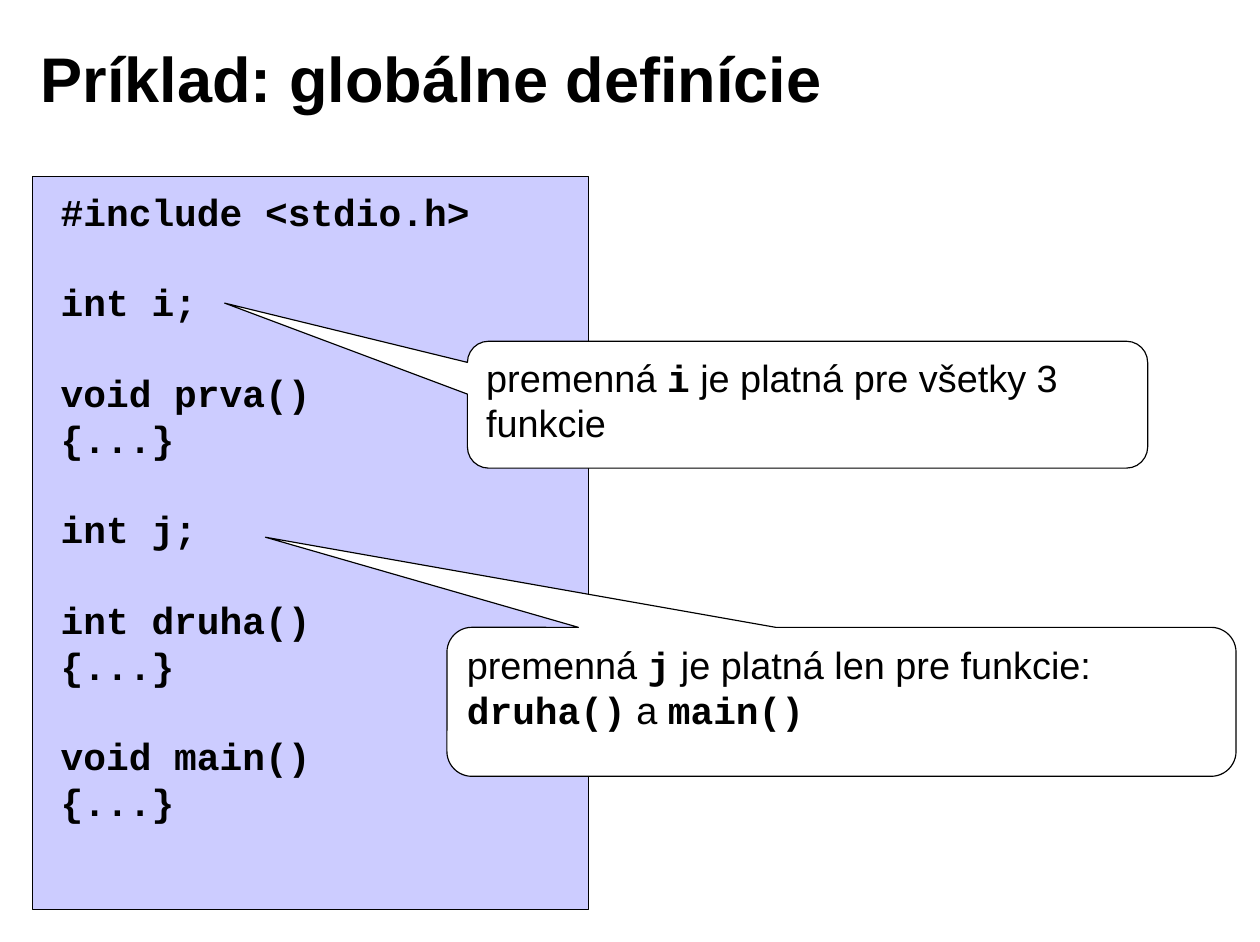
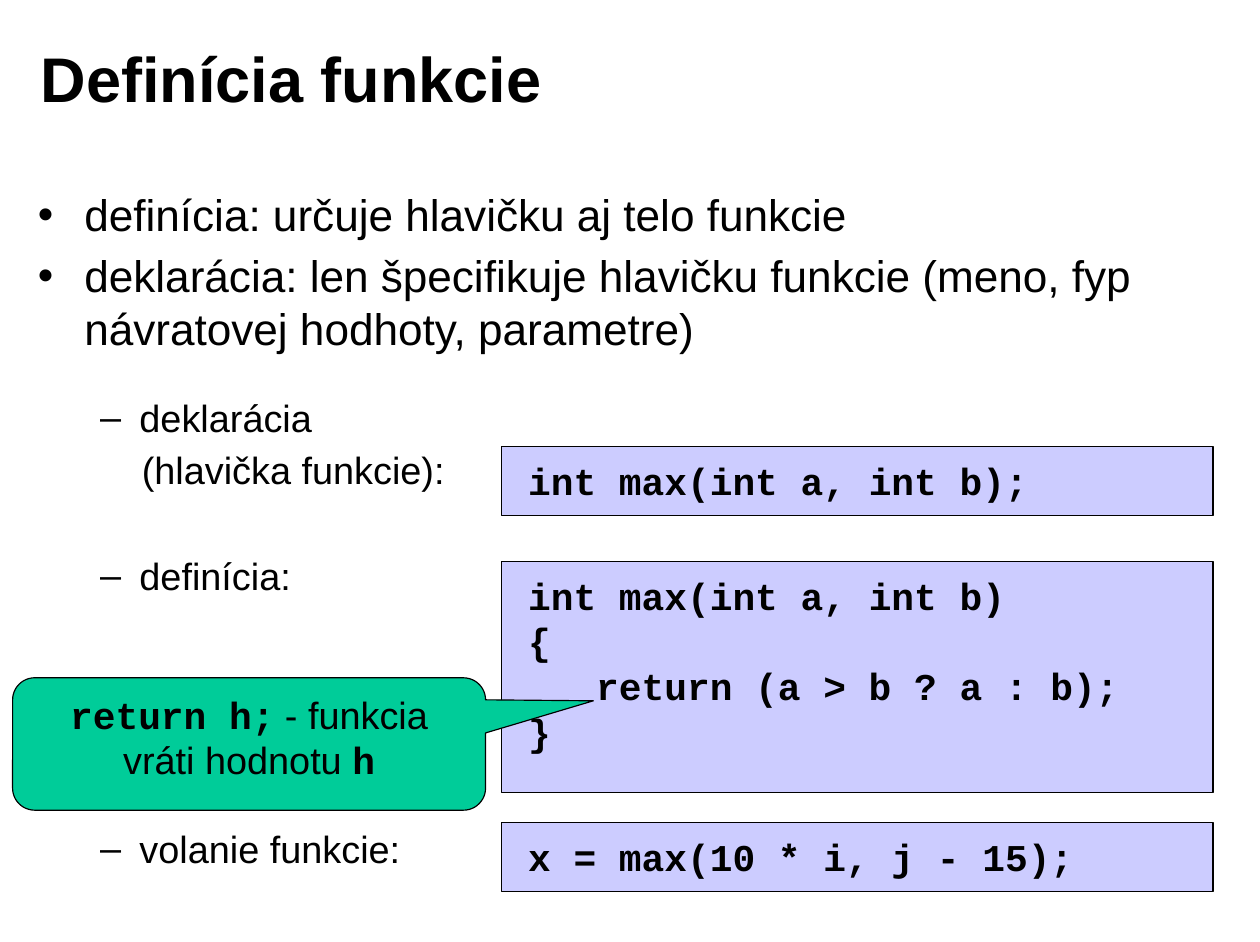
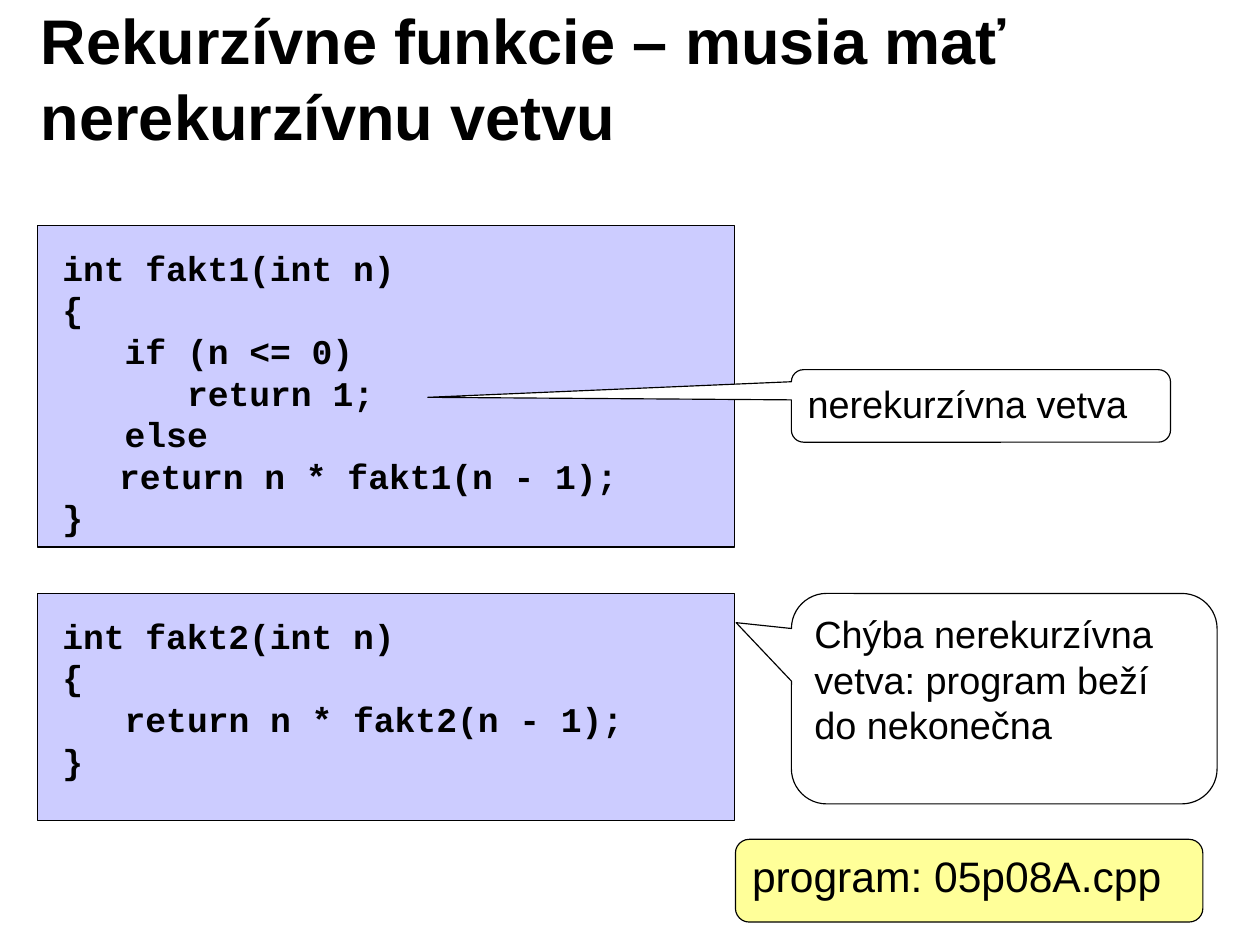
from dataclasses import dataclass

from pptx import Presentation
from pptx.dml.color import RGBColor
from pptx.enum.shapes import MSO_SHAPE
from pptx.enum.text import MSO_ANCHOR, MSO_AUTO_SIZE, PP_ALIGN
from pptx.oxml import parse_xml
from pptx.oxml.ns import nsdecls
from pptx.util import Pt


@dataclass(frozen=True)
class Theme:
    ink: RGBColor = RGBColor(0x00, 0x00, 0x00)
    paper: RGBColor = RGBColor(0xFF, 0xFF, 0xFF)
    code_fill: RGBColor = RGBColor(0xCC, 0xCC, 0xFF)
    accent: RGBColor = RGBColor(0x00, 0xCC, 0x99)
    file_fill: RGBColor = RGBColor(0xFF, 0xFF, 0x99)
    sans: str = "Arial"
    mono: str = "Courier New"
    title: float = 40
    body: float = 28
    file: float = 27
    text: float = 24
    small_code: float = 22
    leading: float = 1.2
    mono_advance: float = 0.6
    tab: float = 72
    corner: float = 0.167
    line: float = 0.75
    inset: tuple = (8, 4.5, 8, 4.5)


T = Theme()
LAYOUT_BODY, LAYOUT_TITLE = 1, 5


def setup_frame(sp, inset=T.inset, anchor=MSO_ANCHOR.TOP, wrap=True):
    tf = sp.text_frame
    tf.word_wrap = wrap
    tf.auto_size = MSO_AUTO_SIZE.NONE
    tf.vertical_anchor = anchor
    tf.margin_left, tf.margin_top, tf.margin_right, tf.margin_bottom = map(Pt, inset)
    return tf


def next_paragraph(tf, index):
    return tf.paragraphs[0] if index == 0 else tf.add_paragraph()


def format_paragraph(p, size, before=0, align=PP_ALIGN.LEFT):
    p.alignment = align
    p.line_spacing = Pt(size * T.leading)
    p.space_before = Pt(before)
    p.space_after = Pt(0)


def format_run(r, size, mono=False, bold=False):
    r.font.name = T.mono if mono else T.sans
    r.font.size = Pt(size)
    r.font.bold = bold
    r.font.color.rgb = T.ink


def set_indent(p, left, first=0):
    pPr = p._p.get_or_add_pPr()
    pPr.set("marL", str(Pt(left)))
    pPr.set("indent", str(Pt(first)))
    return pPr


def place(sp, box):
    sp.left, sp.top, sp.width, sp.height = map(Pt, box)


def add_slide(prs, layout, title):
    s = prs.slides.add_slide(prs.slide_layouts[layout])
    sp = s.shapes.title
    place(sp, (18, 12, 642, 74))
    tf = setup_frame(sp, anchor=MSO_ANCHOR.MIDDLE)
    tf.text = title
    p = tf.paragraphs[0]
    format_paragraph(p, T.title)
    format_run(p.runs[0], T.title, bold=True)
    return s


def add_box(s, kind, box, fill, adjustments=()):
    sp = s.shapes.add_shape(kind, *map(Pt, box))
    for i, value in enumerate(adjustments):
        sp.adjustments[i] = value
    sp.shadow.inherit = False
    sp.fill.solid()
    sp.fill.fore_color.rgb = fill
    sp.line.color.rgb = T.ink
    sp.line.width = Pt(T.line)
    return sp


def add_code(s, box, source, size=T.text, inset=(17, 7)):
    sp = add_box(s, MSO_SHAPE.RECTANGLE, box, T.code_fill)
    tf = setup_frame(sp, (*inset, 0, 0), wrap=False)
    pitch = size * T.leading
    index = gap = 0
    for line in source:
        if not line:
            gap += pitch
            continue
        p = next_paragraph(tf, index)
        code = line.lstrip(" ")
        p.text = code
        format_paragraph(p, size, gap)
        pPr = set_indent(p, (len(line) - len(code)) * T.mono_advance * size)
        if code.startswith("\t"):
            pPr.append(parse_xml(
                f'<a:tabLst {nsdecls("a")}><a:tab pos="{Pt(T.tab)}" algn="l"/></a:tabLst>'))
        format_run(p.runs[0], size, mono=True, bold=True)
        index, gap = index + 1, 0


def write_note(sp, lines, size=T.text, align=PP_ALIGN.LEFT):
    tf = setup_frame(sp)
    for i, line in enumerate(lines):
        p = next_paragraph(tf, i)
        format_paragraph(p, size, align=align)
        for j, part in enumerate(line.split("`")):
            if part:
                r = p.add_run()
                r.text = part
                mono = j % 2 == 1
                format_run(r, size, mono, bold=mono)


def add_callout(s, box, tip, lines, fill=T.paper, align=PP_ALIGN.LEFT):
    kind = MSO_SHAPE.ROUNDED_RECTANGULAR_CALLOUT
    sp = add_box(s, kind, box, fill, (*tip, T.corner))
    write_note(sp, lines, align=align)


def fill_body(s, box, items):
    sp = s.placeholders[1]
    place(sp, box)
    tf = setup_frame(sp)
    for i, (text, level, before, bullet) in enumerate(items):
        p = next_paragraph(tf, i)
        p.text = text
        p.level = level
        size = T.text if level else T.body
        format_paragraph(p, size, before)
        format_run(p.runs[0], size)
        if bullet:
            set_indent(p, *((64.5, -25) if level else (29.5, -29.5)))
        else:
            set_indent(p, 66).append(parse_xml(f"<a:buNone {nsdecls('a')}/>"))


def global_definitions(prs):
    s = add_slide(prs, LAYOUT_TITLE, "Príklad: globálne definície")
    add_code(s, (20.5, 112, 353, 465), [
        "#include <stdio.h>", "",
        "int i;", "",
        "void prva()", "{...}", "",
        "int j;", "",
        "int druha()", "{...}", "",
        "void main()", "{...}",
    ], inset=(18, 7.5))
    add_callout(s, (296.5, 216.5, 431.5, 80.5), (-0.857, -0.801),
                ["premenná `i` je platná pre všetky 3 funkcie"])
    add_callout(s, (283.5, 398, 500.5, 94.5), (-0.73, -1.105),
                ["premenná `j` je platná len pre funkcie:", "`druha()` a `main()`"])


def function_definition(prs):
    s = add_slide(prs, LAYOUT_BODY, "Definícia funkcie")
    fill_body(s, (16, 114.5, 767.5, 439), [
        ("definícia: určuje hlavičku aj telo funkcie", 0, 0, True),
        ("deklarácia: len špecifikuje hlavičku funkcie (meno, fyp návratovej hodhoty, parametre)",
         0, 5, True),
        ("deklarácia", 1, 25.5, True),
        ("(hlavička funkcie):", 1, 4.5, False),
        ("definícia:", 1, 38, True),
        ("volanie funkcie:", 1, 144.5, True),
    ])
    examples = [
        (283.5, 43.5, ["int max(int a, int b);"]),
        (356, 147, ["int max(int a, int b)", "{", "   return (a > b ? a : b);", "}"]),
        (522, 43.5, ["x = max(10 * i, j - 15);"]),
    ]
    for top, height, source in examples:
        add_code(s, (318, top, 451.5, height), source)
    add_callout(s, (8, 430, 300, 84), (0.728, -0.326),
                ["`return h;` - funkcia vráti hodnotu `h`"], T.accent, PP_ALIGN.CENTER)


def recursive_functions(prs):
    s = add_slide(prs, LAYOUT_TITLE, "Rekurzívne funkcie – musia mať nerekurzívnu vetvu")
    examples = [
        (143, 204, ["int fakt1(int n)", "{", "   if (n <= 0)", "      return 1;",
                    "   else", "\treturn n * fakt1(n - 1);", "}"]),
        (376.5, 144, ["int fakt2(int n)", "{", "   return n * fakt2(n - 1);", "}"]),
    ]
    for top, height, source in examples:
        add_code(s, (24, top, 442, height), source, T.small_code, (15.5, 13.5))
    add_callout(s, (502, 376.5, 270, 133.5), (-0.63, -0.361),
                ["Chýba nerekurzívna vetva: program beží do nekonečna"])
    add_callout(s, (502, 234.5, 240.5, 46), (-1.459, -0.118), ["nerekurzívna vetva"])
    sp = add_box(s, MSO_SHAPE.ROUNDED_RECTANGLE, (466.5, 532.5, 296.5, 52.5),
                 T.file_fill, (T.corner,))
    write_note(sp, ["program: 05p08A.cpp"], T.file)


def main():
    prs = Presentation()
    prs.slide_width, prs.slide_height = Pt(799.2), Pt(597.6)
    global_definitions(prs)
    function_definition(prs)
    recursive_functions(prs)
    prs.save("out.pptx")


if __name__ == "__main__":
    main()
